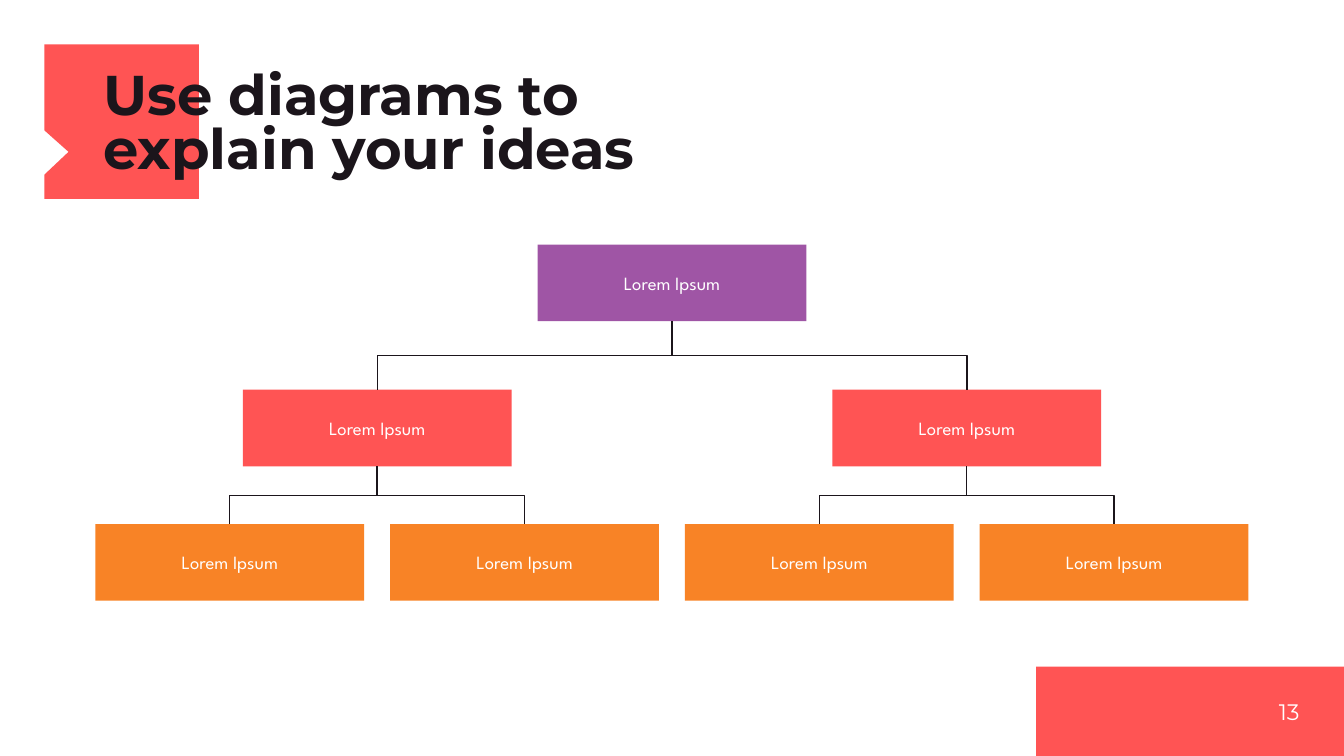
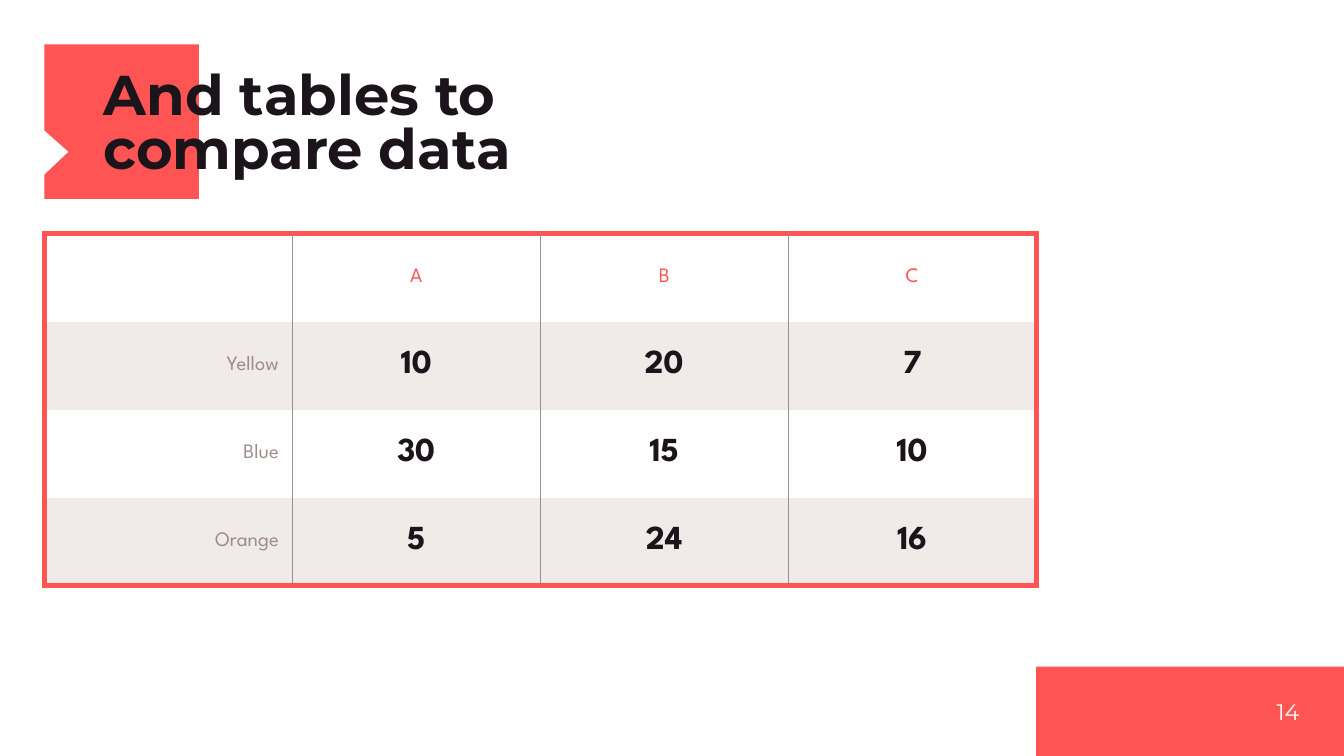
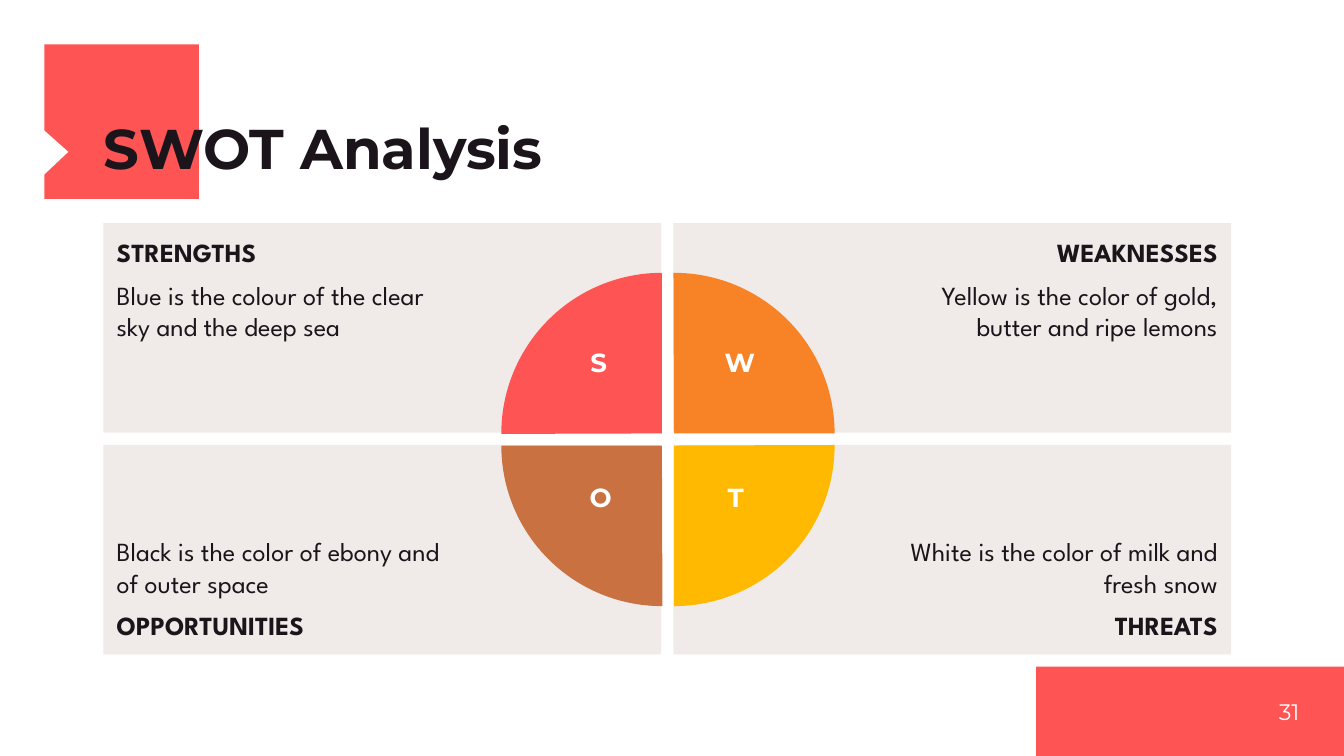
from copy import deepcopy

from lxml.etree import SubElement
from pptx import Presentation
from pptx.dml.color import RGBColor
from pptx.enum.shapes import MSO_CONNECTOR, MSO_SHAPE
from pptx.enum.text import MSO_ANCHOR, MSO_AUTO_SIZE, PP_ALIGN
from pptx.oxml.ns import qn
from pptx.util import Inches, Pt

CORAL, ORANGE, PURPLE = "FF5454", "F88326", "9F55A5"
BROWN, YELLOW = "C97140", "FFB900"
INK, GREY, PALE, WHITE = "1B151B", "9E8D8B", "F0EBE9", "FFFFFF"
HEADING, BODY = "Montserrat", "League Spartan"
COLUMNS, ROWS = 100, 56.25
CELL = Inches(0.1)
TITLE_PLACE = (7.7, 9.1, 56.1, 4.3)


def grid(*lengths):
    """Turn grid columns or rows into slide lengths."""
    return [round(length * CELL) for length in lengths]


def rgb(color):
    """Make a colour from a hex string."""
    return RGBColor.from_string(color)


def write(paragraph, text, size=14, font=BODY, color=INK, bold=False,
          align=PP_ALIGN.LEFT, before=0, after=0, spacing=None):
    """Fill a paragraph with formatted text."""
    paragraph.text = text
    paragraph.alignment = align
    paragraph.space_before, paragraph.space_after = Pt(before), Pt(after)
    if spacing:
        paragraph.line_spacing = spacing
    for run in paragraph.runs:
        run.font.name, run.font.size, run.font.bold = font, Pt(size), bold
        run.font.color.rgb = rgb(color)
    for line_break in paragraph._p.findall(qn("a:br")):
        line_break.append(deepcopy(paragraph.runs[0]._r.rPr))


def set_frame(frame, anchor=MSO_ANCHOR.TOP, insets=(0, 0, 0, 0)):
    """Set wrapping, anchor and insets of a text frame."""
    frame.word_wrap = True
    frame.auto_size = MSO_AUTO_SIZE.NONE
    frame.vertical_anchor = anchor
    (frame.margin_left, frame.margin_top,
     frame.margin_right, frame.margin_bottom) = grid(*insets)


def paint(shape, color):
    """Give a shape a plain fill with no line or shadow."""
    shape.shadow.inherit = False
    shape.fill.solid()
    shape.fill.fore_color.rgb = rgb(color)
    shape.line.fill.background()


def add_block(slide, place, color, kind=MSO_SHAPE.RECTANGLE):
    """Add a filled preset shape."""
    shape = slide.shapes.add_shape(kind, *grid(*place))
    paint(shape, color)
    return shape


def add_label(slide, place, text, anchor=MSO_ANCHOR.TOP, insets=(0, 0, 0, 0), **style):
    """Add a one-paragraph text box."""
    frame = slide.shapes.add_textbox(*grid(*place)).text_frame
    set_frame(frame, anchor, insets)
    write(frame.paragraphs[0], text, font=HEADING, color=WHITE, **style)


def decorate_layout(layout, slide):
    """Put the flag, the footer band and the title position on the layout."""
    corners = [(14.8, 3.3), (14.8, 14.8), (3.3, 14.8), (3.3, 13), (5.1, 11.3), (3.3, 9.7)]
    builder = slide.shapes.build_freeform(*grid(3.3, 3.3))
    builder.add_line_segments([grid(*corner) for corner in corners])
    flag = builder.convert_to_shape()
    paint(flag, CORAL)
    band = add_block(slide, (77.1, 49.6, COLUMNS - 77.1, ROWS - 49.6), CORAL)
    for number, shape in enumerate((flag, band), 101):
        shape.element.nvSpPr.cNvPr.set("id", str(number))
        layout.shapes.element.append(shape.element)
    title = layout.placeholders[0]
    title.left, title.top, title.width, title.height = grid(*TITLE_PLACE)


def start_slide(slide, title, number):
    """Write the title and the slide number."""
    shape = slide.shapes.title
    shape.left, shape.top, shape.width, shape.height = grid(*TITLE_PLACE)
    set_frame(shape.text_frame, MSO_ANCHOR.BOTTOM)
    write(shape.text_frame.paragraphs[0], title, size=30, font=HEADING,
          bold=True, spacing=0.8)
    add_label(slide, (90, 49.6, 6.7, 6.7), str(number), MSO_ANCHOR.MIDDLE,
              size=12, align=PP_ALIGN.RIGHT)


def add_node(slide, center, top, color):
    """Add one box of the tree around a centre column."""
    node = add_block(slide, (center - 10, top, 20, 5.7), color)
    set_frame(node.text_frame, MSO_ANCHOR.MIDDLE, (1, 1, 1, 1))
    write(node.text_frame.paragraphs[0], "Lorem Ipsum", size=10, color=WHITE,
          align=PP_ALIGN.CENTER)
    return node


def join_nodes(slide, parent, child):
    """Join a parent's bottom to a child's top with an upright elbow."""
    start_x, end_x = (node.left + node.width // 2 for node in (parent, child))
    start_y, end_y = parent.top + parent.height, child.top
    span, drop = abs(end_x - start_x), end_y - start_y
    connector = slide.shapes.add_connector(
        MSO_CONNECTOR.ELBOW, start_x, start_y, end_x, end_y)
    connector.begin_connect(parent, 2)
    connector.end_connect(child, 0)
    connector.left = (start_x + end_x - drop) // 2
    connector.top = (start_y + end_y - span) // 2
    connector.width, connector.height = drop, span
    rightward = end_x > start_x
    transform = connector.element.spPr.find(qn("a:xfrm"))
    transform.set("rot", "16200000" if rightward else "5400000")
    transform.set("flipH", "1" if rightward else "0")
    connector.line.width = Pt(0.75)
    connector.line.color.rgb = rgb(INK)
    SubElement(connector.element.spPr, qn("a:effectLst"))


def build_tree(slide):
    """Draw the three-level tree."""
    step = (82.9 - 17.1) / 3
    leaf_centers = [17.1 + step * index for index in range(4)]
    branch_centers = [sum(leaf_centers[index:index + 2]) / 2 for index in (0, 2)]
    root = add_node(slide, COLUMNS / 2, 18.2, PURPLE)
    branches = [add_node(slide, center, 29, CORAL) for center in branch_centers]
    leaves = [add_node(slide, center, 39, ORANGE) for center in leaf_centers]
    for branch in branches:
        join_nodes(slide, root, branch)
    for index, leaf in enumerate(leaves):
        join_nodes(slide, branches[index // 2], leaf)


def set_border(cell, side, color=None, width=0.0):
    """Add one cell border, or an empty one without a colour."""
    line = SubElement(cell._tc.get_or_add_tcPr(), qn(f"a:ln{side}"), w=str(Pt(width)))
    if color:
        fill = SubElement(line, qn("a:solidFill"))
        SubElement(fill, qn("a:srgbClr"), val=color)
    else:
        SubElement(line, qn("a:noFill"))


def format_cell(cell, row, column, last_row, last_column):
    """Set the borders, fill and insets of a cell by its place."""
    outer, inner = (CORAL, 3), (GREY, 0.75)
    set_border(cell, "L", *(outer if column == 0 else inner))
    set_border(cell, "R", *(outer if column == last_column else inner))
    set_border(cell, "T", *(outer if row == 0 else ()))
    set_border(cell, "B", *(outer if row == last_row else ()))
    if row % 2:
        cell.fill.solid()
        cell.fill.fore_color.rgb = rgb(PALE)
    else:
        cell.fill.background()
    cell.vertical_anchor = MSO_ANCHOR.MIDDLE
    cell.margin_left, cell.margin_right, cell.margin_top, cell.margin_bottom = grid(
        1, 1, 0.7, 0.7)


def build_table(slide):
    """Add the comparison table."""
    values = [["", "A", "B", "C"], ["Yellow", "10", "20", "7"],
              ["Blue", "30", "15", "10"], ["Orange", "5", "24", "16"]]
    last = len(values) - 1
    table = slide.shapes.add_table(4, 4, *grid(3.3, 17.4, 73.8, 26.2)).table
    table.first_row = table.horz_banding = False
    for row, texts in enumerate(values):
        for column, text in enumerate(texts):
            cell = table.cell(row, column)
            format_cell(cell, row, column, last, last)
            if row == 0:
                style = dict(size=11, color=CORAL, align=PP_ALIGN.CENTER)
            elif column == 0:
                style = dict(size=11, color=GREY, align=PP_ALIGN.RIGHT)
            else:
                style = dict(size=18, bold=True, align=PP_ALIGN.CENTER)
            write(cell.text_frame.paragraphs[0], text, **style)


def add_panel(slide, column, row, name, text):
    """Add one SWOT panel, its name on the outer edge."""
    panel = add_block(slide, (7.7 + 42.4 * column, 16.6 + 16.5 * row, 41.5, 15.6), PALE)
    frame = panel.text_frame
    set_frame(frame, MSO_ANCHOR.BOTTOM if row else MSO_ANCHOR.TOP,
              (15, 1, 1, 1) if column else (1, 1, 15, 1))
    align = PP_ALIGN.RIGHT if column else PP_ALIGN.LEFT
    lines = [(text, False), (name, True)] if row else [(name, True), (text, False)]
    write(frame.paragraphs[0], lines[0][0], bold=lines[0][1], align=align)
    write(frame.add_paragraph(), lines[1][0], bold=lines[1][1], align=align,
          before=6, after=6)


def build_swot(slide):
    """Draw the four panels, the quarter circles and their letters."""
    quadrants = [
        (0, 0, "STRENGTHS", "Blue is the colour of the clear sky and the deep sea",
         CORAL, 42.8, 3.5),
        (1, 0, "WEAKNESSES", "Yellow is the color of gold, butter and ripe lemons",
         ORANGE, 52, 6.1),
        (1, 1, "THREATS", "White is the color of milk and fresh snow",
         YELLOW, 53.1, 3.3),
        (0, 1, "OPPORTUNITIES", "Black is the color of ebony and of outer space",
         BROWN, 42.5, 4.4),
    ]
    for column, row, name, text, *_ in quadrants:
        add_panel(slide, column, row, name, text)
    for turn, (column, row, _, _, color, _, _) in enumerate(quadrants):
        place = (37.3 + 0.9 * column, 20.3 + 0.9 * row, 23.9, 23.9)
        quarter = add_block(slide, place, color, MSO_SHAPE.PIE)
        quarter.adjustments[0], quarter.adjustments[1] = 107.89, 162
        quarter.rotation = 90 * turn
    for _, row, name, _, _, left, width in quadrants:
        add_label(slide, (left, 25.25 + 10.1 * row, width, 4.5), name[0],
                  insets=(0, 0.5, 0, 0.5), bold=True, align=PP_ALIGN.CENTER)


def main():
    """Build the presentation."""
    presentation = Presentation()
    presentation.slide_width, presentation.slide_height = grid(COLUMNS, ROWS)
    layout = presentation.slide_layouts[5]
    pages = [
        ("Use diagrams to\nexplain your ideas", 13, build_tree),
        ("And tables to\ncompare data", 14, build_table),
        ("SWOT Analysis", 31, build_swot),
    ]
    for index, (title, number, build) in enumerate(pages):
        slide = presentation.slides.add_slide(layout)
        if index == 0:
            decorate_layout(layout, slide)
        start_slide(slide, title, number)
        build(slide)
    presentation.save("out.pptx")


if __name__ == "__main__":
    main()
